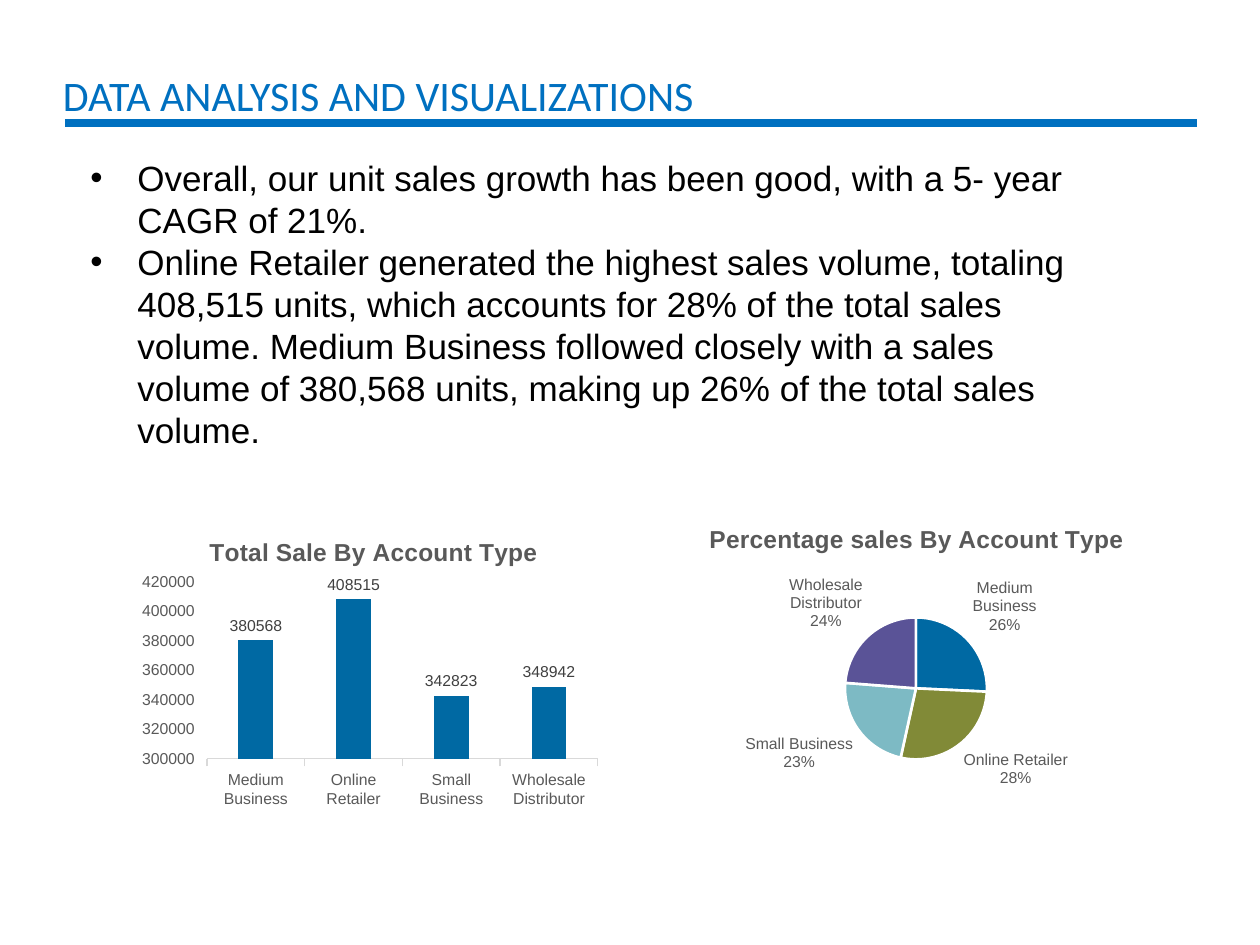
"""Build the account-type sales slide with two bullets, a column chart and a pie chart."""
import pptx
import pptx.chart.data
import pptx.dml.color
import pptx.enum.chart
import pptx.enum.shapes
import pptx.enum.text
import pptx.oxml
import pptx.oxml.ns
import pptx.util

PX = 914400 / 126
THEME = {
    "blue": "0070C0", "black": "000000", "white": "FFFFFF",
    "gray": "595959", "label": "404040", "axis": "D9D9D9",
    "slices": ["0069A3", "818A37", "7DBAC4", "5A5397"],
    "title": 24, "body": 20, "chart_title": 14, "chart": 10, "small": 9,
    "heading_font": "Calibri", "font": "Arial",
}


def style(font, size, color, name=THEME["font"], bold=False):
    font.size = pptx.util.Pt(THEME[size])
    font.color.rgb = pptx.dml.color.RGBColor.from_string(THEME[color])
    font.name = name
    font.bold = bold


def place(parent, index, frame, area, inner=False):
    for old in parent.findall(pptx.oxml.ns.qn("c:layout")):
        parent.remove(old)
    x, y = [round((area[i] - frame[i]) / frame[i + 2], 4) for i in (0, 1)]
    tags = [("xMode", "edge"), ("yMode", "edge"), ("x", x), ("y", y)]
    if inner:
        tags.insert(0, ("layoutTarget", "inner"))
        tags += [("w", round(area[2] / frame[2], 4)), ("h", round(area[3] / frame[3], 4))]
    body = "".join(f'<c:{tag} val="{val}"/>' for tag, val in tags)
    parent.insert(index, pptx.oxml.parse_xml(
        f'<c:layout {pptx.oxml.ns.nsdecls("c")}><c:manualLayout>{body}</c:manualLayout></c:layout>'))


prs = pptx.Presentation()
prs.slide_width, prs.slide_height = int(1260 * PX), int(945 * PX)
s = prs.slides.add_slide(prs.slide_layouts[6])

rule = s.shapes.add_connector(
    pptx.enum.shapes.MSO_CONNECTOR.STRAIGHT, *[int(v * PX) for v in (65, 123, 1197, 123)])
rule.line.color.rgb = pptx.dml.color.RGBColor.from_string(THEME["blue"])
rule.line.width = pptx.util.Pt(4.5)
rule._element.spPr.append(pptx.oxml.parse_xml(f'<a:effectLst {pptx.oxml.ns.nsdecls("a")}/>'))

sp = s.shapes.add_textbox(*[int(v * PX) for v in (63, 79, 1134, 38)])
tf = sp.text_frame
tf.word_wrap = True
tf.margin_left = tf.margin_right = 0
tf.vertical_anchor = pptx.enum.text.MSO_ANCHOR.MIDDLE
p = tf.paragraphs[0]
p.line_spacing = 0.9
r = p.add_run()
r.text = "DATA ANALYSIS AND VISUALIZATIONS"
style(r.font, "title", "blue", THEME["heading_font"])

bullets = [
    "Overall, our unit sales growth has been good, with a 5- year CAGR of 21%.",
    "Online Retailer generated the highest sales volume, totaling 408,515 units, which accounts "
    "for 28% of the total sales volume. Medium Business followed closely with a sales volume of "
    "380,568 units, making up 26% of the total sales volume.",
]
sp = s.shapes.add_textbox(*[int(v * PX) for v in (63, 150, 1026, 310)])
tf = sp.text_frame
tf.word_wrap = True
for i, text in enumerate(bullets):
    p = tf.add_paragraph() if i else tf.paragraphs[0]
    pPr = p._p.get_or_add_pPr()
    pPr.set("marL", str(int(62 * PX)))
    pPr.set("indent", str(int(-47 * PX)))
    for xml in ('<a:buFont {} typeface="Arial"/>', '<a:buChar {} char="•"/>'):
        pPr.append(pptx.oxml.parse_xml(xml.format(pptx.oxml.ns.nsdecls("a"))))
    r = p.add_run()
    r.text = text
    style(r.font, "body", "black")

XL = pptx.enum.chart
categories = ["Medium Business", "Online Retailer", "Small Business", "Wholesale Distributor"]
specs = [
    (XL.XL_CHART_TYPE.COLUMN_CLUSTERED, "Total Sale By Account Type",
     [380568, 408515, 342823, 348942], "label",
     (132, 512, 474, 302), (205, 532), (207, 582, 391, 177)),
    (XL.XL_CHART_TYPE.PIE, "Percentage sales By Account Type",
     [26, 28, 23, 24], "gray",
     (630, 499, 564, 329), (705, 519), (845, 617, 142, 143)),
]
charts = []
for kind, title, values, label_color, frame, title_at, plot_area in specs:
    data = pptx.chart.data.CategoryChartData()
    data.categories = categories
    data.add_series("Series 1", values)
    chart = s.shapes.add_chart(kind, *[int(v * PX) for v in frame], data).chart
    style(chart.font, "chart", "black")
    chart.has_legend = False
    chart.has_title = True
    r = chart.chart_title.text_frame.paragraphs[0].add_run()
    r.text = title
    style(r.font, "chart_title", "gray", bold=True)
    chart.chart_title.include_in_layout = False
    place(chart.chart_title._element, 1, frame, title_at)
    place(chart._chartSpace.chart.plotArea, 0, frame, plot_area, inner=True)
    labels = chart.plots[0].series[0].data_labels
    style(labels.font, "small", label_color)
    labels.position = XL.XL_LABEL_POSITION.OUTSIDE_END
    charts.append(chart)

column, pie = charts
plot = column.plots[0]
plot.vary_by_categories = False
plot.gap_width = 182
fill = plot.series[0].format.fill
fill.solid()
fill.fore_color.rgb = pptx.dml.color.RGBColor.from_string(THEME["slices"][0])
plot.series[0].data_labels.show_value = True

for axis in (column.category_axis, column.value_axis):
    style(axis.tick_labels.font, "small", "gray")
    axis.has_major_gridlines = False
    axis.major_tick_mark = XL.XL_TICK_MARK.OUTSIDE
    axis.minor_tick_mark = XL.XL_TICK_MARK.NONE
line = column.category_axis.format.line
line.color.rgb = pptx.dml.color.RGBColor.from_string(THEME["axis"])
line.width = pptx.util.Pt(0.75)
axis = column.value_axis
axis.format.line.fill.background()
axis.minimum_scale, axis.maximum_scale, axis.major_unit = 300000, 420000, 20000

plot = pie.plots[0]
plot.vary_by_categories = True
for i, color in enumerate(THEME["slices"]):
    fmt = plot.series[0].points[i].format
    fmt.fill.solid()
    fmt.fill.fore_color.rgb = pptx.dml.color.RGBColor.from_string(color)
    fmt.line.color.rgb = pptx.dml.color.RGBColor.from_string(THEME["white"])
    fmt.line.width = pptx.util.Pt(1.5)
labels = plot.series[0].data_labels
labels.show_value = False
labels.show_category_name = labels.show_percentage = True
labels.number_format = "0%"
labels.number_format_is_linked = False
separator = pptx.oxml.parse_xml(f'<c:separator {pptx.oxml.ns.nsdecls("c")}>\n</c:separator>')
labels._element.find(pptx.oxml.ns.qn("c:showBubbleSize")).addnext(separator)

prs.save("out.pptx")
